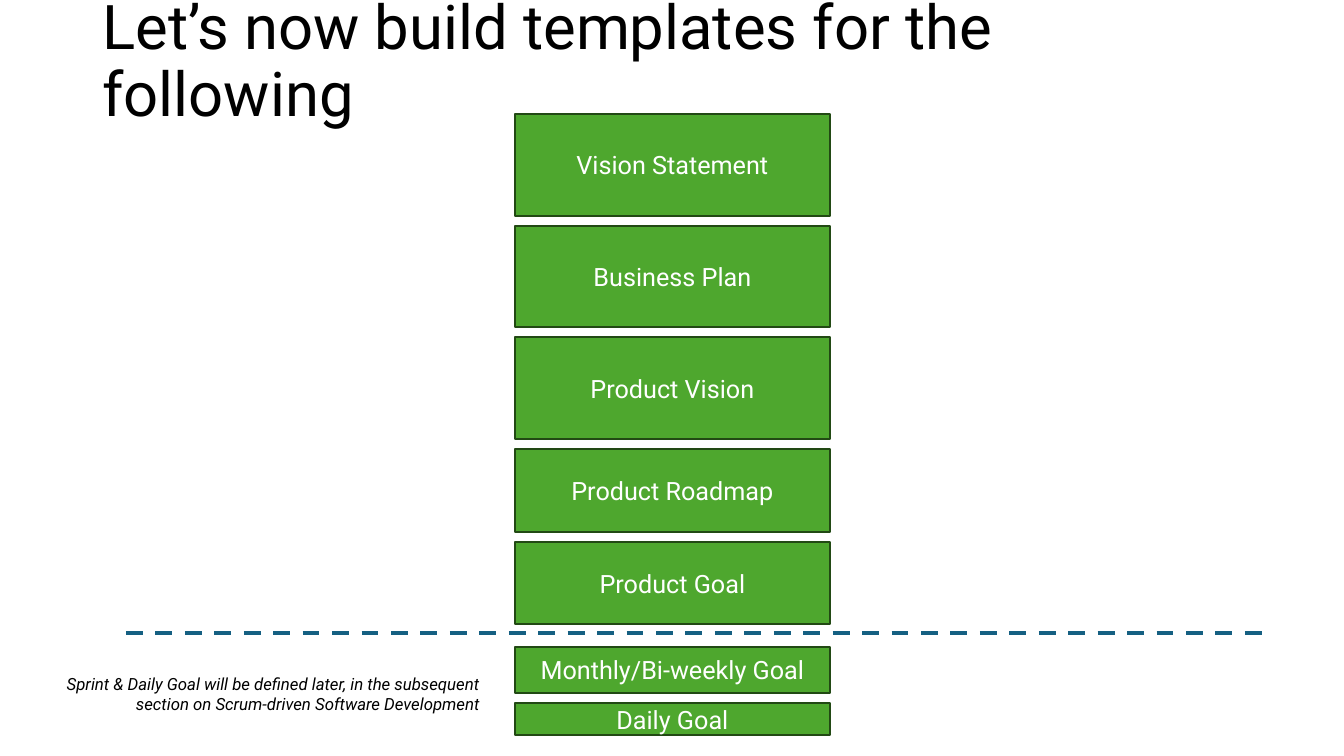
import pptx
import pptx.util
import pptx.dml.color
import pptx.enum.dml
import pptx.enum.shapes
import pptx.enum.text
import pptx.oxml.ns
import lxml.etree
from dataclasses import dataclass

Pt = pptx.util.Pt
Align = pptx.enum.text.PP_ALIGN
Anchor = pptx.enum.text.MSO_ANCHOR


@dataclass(frozen=True)
class Theme:
    font: str = "Roboto"
    ink: str = "000000"
    pale: str = "FFFFFF"
    green: str = "4EA72E"
    edge: str = "224914"
    blue: str = "156082"
    head: int = 44
    label: int = 18
    note: int = 12


THEME = Theme()


def tint(code):
    return pptx.dml.color.RGBColor.from_string(code)


def write(shape, text, size, color, align, anchor, slant=False):
    frame = shape.text_frame
    frame.word_wrap = True
    frame.vertical_anchor = anchor
    para = frame.paragraphs[0]
    para.alignment = align
    run = para.add_run()
    run.text = text
    run.font.name = THEME.font
    run.font.size = Pt(size)
    run.font.italic = slant
    run.font.color.rgb = tint(color)
    return para


def title(slide, box, text):
    shape = slide.shapes.add_textbox(*map(Pt, box))
    para = write(shape, text, THEME.head, THEME.ink, Align.LEFT, Anchor.MIDDLE)
    para.line_spacing = 0.9


def stack(slide, box, gap, steps):
    left, top, width = box
    for text, height in steps:
        shape = slide.shapes.add_shape(
            pptx.enum.shapes.MSO_SHAPE.RECTANGLE,
            Pt(left), Pt(top), Pt(width), Pt(height))
        shape.shadow.inherit = False
        shape.fill.solid()
        shape.fill.fore_color.rgb = tint(THEME.green)
        shape.line.color.rgb = tint(THEME.edge)
        shape.line.width = Pt(1.5)
        write(shape, text, THEME.label, THEME.pale, Align.CENTER, Anchor.MIDDLE)
        top += height + gap


def divide(slide, left, right, top):
    line = slide.shapes.add_connector(
        pptx.enum.shapes.MSO_CONNECTOR.STRAIGHT,
        Pt(left), Pt(top), Pt(right), Pt(top))
    line.line.color.rgb = tint(THEME.blue)
    line.line.width = Pt(3)
    line.line.dash_style = pptx.enum.dml.MSO_LINE.DASH
    props = line._element.spPr
    lxml.etree.SubElement(props, pptx.oxml.ns.qn("a:effectLst"))


def note(slide, box, text):
    shape = slide.shapes.add_textbox(*map(Pt, box))
    write(shape, text, THEME.note, THEME.ink, Align.RIGHT, Anchor.TOP, True)


def main():
    deck = pptx.Presentation()
    deck.slide_width = Pt(960)
    deck.slide_height = Pt(540)
    slide = deck.slides.add_slide(deck.slide_layouts[6])
    title(slide, (66, 8.5, 828, 72.7),
          "Let’s now build templates for the following")
    stack(slide, (368, 81.4, 224.6), 7.1, [
        ("Vision Statement", 72.7),
        ("Business Plan", 72.7),
        ("Product Vision", 72.7),
        ("Product Roadmap", 59),
        ("Product Goal", 59),
    ])
    divide(slide, 90, 906.5, 452.2)
    stack(slide, (368, 462, 224.6), 7.1, [
        ("Monthly/Bi-weekly Goal", 33),
        ("Daily Goal", 23),
    ])
    note(slide, (32.4, 477.4, 317.5, 36),
         "Sprint & Daily Goal will be defined later, in the subsequent "
         "section on Scrum-driven Software Development")
    deck.save("out.pptx")


if __name__ == "__main__":
    main()
